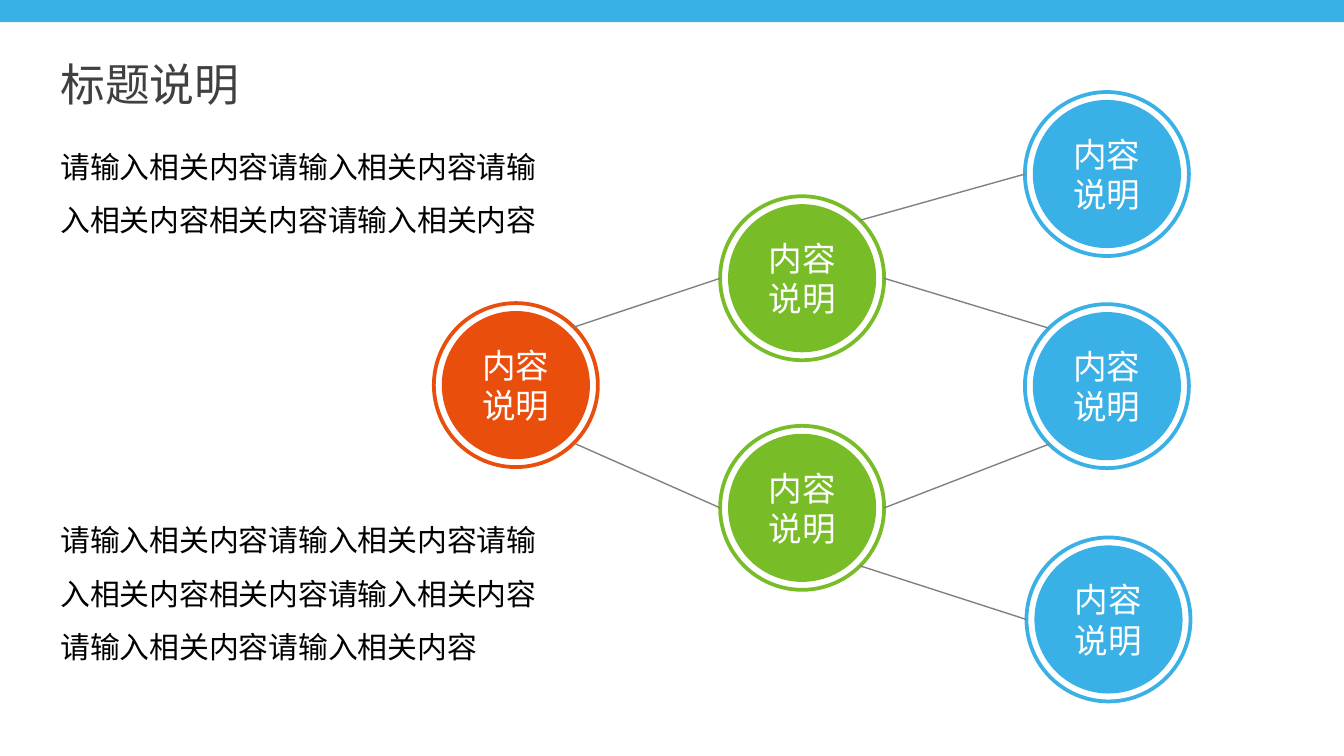
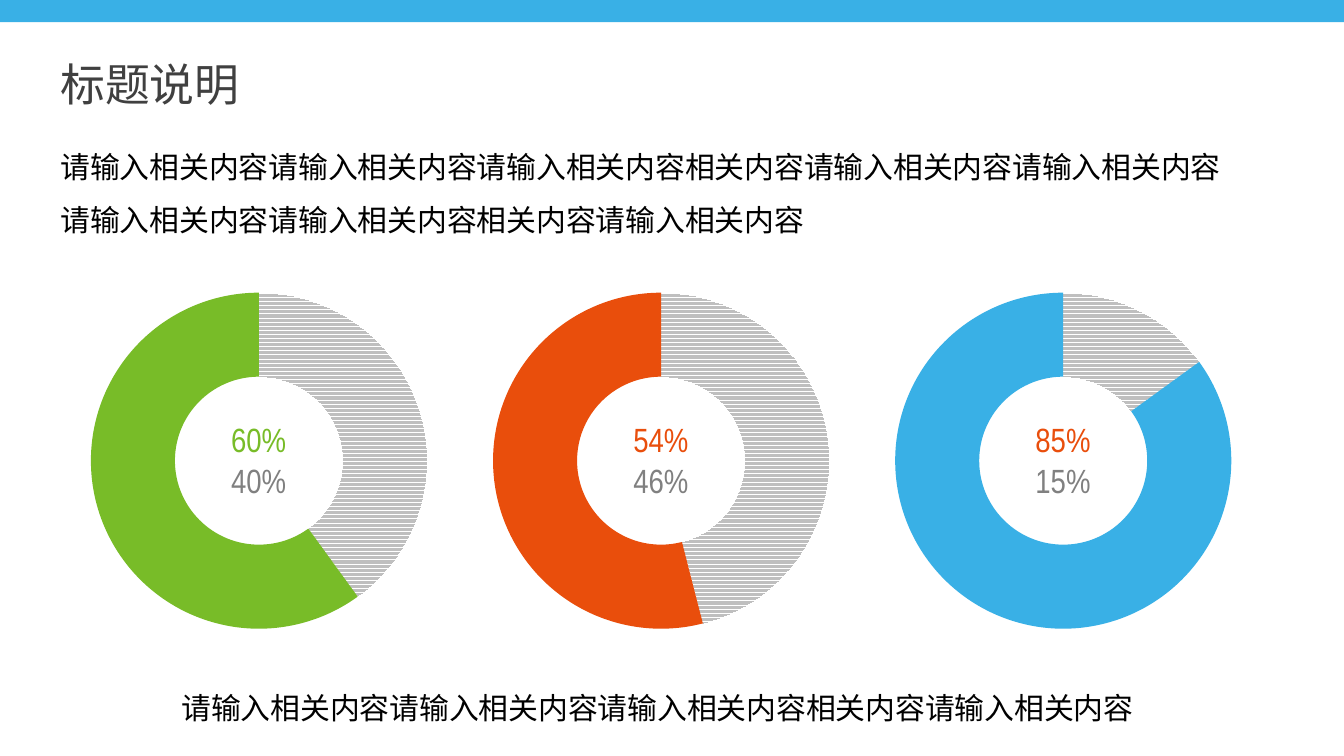
from math import cos, radians, sin
from typing import Any, NamedTuple

from lxml.etree import SubElement
from pptx import Presentation
from pptx.chart.data import CategoryChartData as Data
from pptx.dml.color import RGBColor
from pptx.enum.chart import XL_CHART_TYPE as Kind
from pptx.enum.dml import MSO_PATTERN as Pattern
from pptx.enum.shapes import MSO_CONNECTOR as Wire
from pptx.enum.shapes import MSO_SHAPE as Form
from pptx.enum.text import MSO_ANCHOR as Anchor
from pptx.enum.text import MSO_AUTO_SIZE as Fit
from pptx.enum.text import PP_ALIGN as Align
from pptx.oxml.ns import qn
from pptx.util import Cm, Pt

BLUE, GREEN, RED = "39B0E6", "78BC28", "E94E0C"
WHITE, BLACK, DARK = "FFFFFF", "000000", "404040"
GREY, PALE = "808080", "BFBFBF"
WIDE, HIGH = 25.4, 14.29
LEFT = 0.89
DISC, RING = 2.8, 3.1
ASK, TOPIC = "请输入相关内容", "相关内容"
INTRO = ASK * 3 + TOPIC + ASK


class Node(NamedTuple):
    """A ringed disc by its centre."""
    x: float
    y: float
    tint: str


class Link(NamedTuple):
    """A line between two nodes, with its angle on each ring."""
    start: str
    leave: int
    end: str
    enter: int


class Donut(NamedTuple):
    """A doughnut by its main share."""
    share: int
    tint: str
    label: str


NODES = {
    "root": Node(9.75, 7.28, RED),
    "upper": Node(15.16, 5.26, GREEN),
    "lower": Node(15.16, 9.6, GREEN),
    "top": Node(20.92, 3.29, BLUE),
    "low": Node(20.95, 11.71, BLUE),
    "mid": Node(20.92, 7.3, BLUE),
}
LINKS = [
    Link("root", -45, "upper", 180),
    Link("root", 45, "lower", 180),
    Link("lower", 45, "low", 180),
    Link("upper", -45, "top", 180),
    Link("upper", 0, "mid", -135),
    Link("lower", 0, "mid", 135),
]
DONUTS = [Donut(60, GREEN, GREEN), Donut(54, RED, RED), Donut(85, BLUE, RED)]


def paint(target: Any, tint: str) -> None:
    """Set a colour format from a hex string."""
    target.rgb = RGBColor.from_string(tint)


def write(frame: Any, *lines: str, size: int = 16, font: str = "Calibri",
          tints: tuple = (BLACK,), align: Any = Align.LEFT,
          gap: float = 1.0) -> None:
    """Fill a text frame with one paragraph per line."""
    frame.word_wrap = True
    for i, line in enumerate(lines):
        para = frame.paragraphs[0] if i == 0 else frame.add_paragraph()
        para.alignment, para.line_spacing = align, gap
        run = para.add_run()
        run.text = line
        run.font.size, run.font.name = Pt(size), font
        paint(run.font.color, tints[i % len(tints)])


def label(slide: Any, x: float, y: float, w: float, h: float,
          *lines: str, **style: Any) -> None:
    """Add a text box that grows with its text."""
    box = slide.shapes.add_textbox(Cm(x), Cm(y), Cm(w), Cm(h))
    write(box.text_frame, *lines, **style)
    box.text_frame.auto_size = Fit.SHAPE_TO_FIT_TEXT


def circle(shapes: Any, node: Node, size: float) -> Any:
    """Add a circle centred on a node."""
    item = shapes.add_shape(Form.OVAL, Cm(node.x - size / 2),
                            Cm(node.y - size / 2), Cm(size), Cm(size))
    item.shadow.inherit = False
    return item


def bubble(slide: Any, node: Node) -> None:
    """Draw a filled disc inside a thin ring as one group."""
    shapes = slide.shapes.add_group_shape().shapes
    disc = circle(shapes, node, DISC)
    disc.fill.solid()
    paint(disc.fill.fore_color, node.tint)
    disc.line.fill.background()
    frame = disc.text_frame
    frame.margin_left = frame.margin_right = 0
    frame.vertical_anchor = Anchor.MIDDLE
    write(frame, "内容", "说明", size=18, font="Roboto", tints=(WHITE,),
          align=Align.CENTER)
    ring = circle(shapes, node, RING)
    ring.fill.background()
    paint(ring.line.color, node.tint)
    ring.line.width = Pt(2)


def edge(name: str, angle: int) -> tuple:
    """Return the point of a node's ring at an angle."""
    node, turn = NODES[name], radians(angle)
    return (Cm(node.x + RING / 2 * cos(turn)),
            Cm(node.y + RING / 2 * sin(turn)))


def join(slide: Any, link: Link) -> None:
    """Draw the line of a link."""
    line = slide.shapes.add_connector(Wire.STRAIGHT,
                                      *edge(link.start, link.leave),
                                      *edge(link.end, link.enter))
    paint(line.line.color, GREY)
    line.line.width = Pt(0.75)
    SubElement(line.element.spPr, qn("a:effectLst"))


def place(chart: Any, **parts: float) -> None:
    """Fix the inner plot area as fractions of the chart."""
    area = chart.element.find(".//" + qn("c:plotArea"))
    old = area.find(qn("c:layout"))
    if old is not None:
        area.remove(old)
    outer = SubElement(area, qn("c:layout"))
    area.insert(0, outer)
    inner = SubElement(outer, qn("c:manualLayout"))
    rules = {"layoutTarget": "inner", "xMode": "edge", "yMode": "edge"}
    for tag, val in {**rules, **parts}.items():
        SubElement(inner, qn("c:" + tag)).set("val", str(val))


def ring_chart(slide: Any, item: Donut, x: float) -> None:
    """Add a doughnut chart with a striped rest."""
    data = Data()
    data.categories = ["1", "2"]
    data.add_series("Series 1", [100 - item.share, item.share])
    chart = slide.shapes.add_chart(Kind.DOUGHNUT, Cm(x), Cm(5.18),
                                   Cm(10.59), Cm(7.06), data).chart
    chart.has_title = chart.has_legend = False
    chart.font.size, chart.font.name = Pt(18), "Roboto"
    paint(chart.font.color, BLACK)
    place(chart, x=0.2, y=0.05, w=0.6, h=0.9)
    plot = chart.plots[0]
    plot.vary_by_categories = True
    plot.has_data_labels = False
    rest, main = (plot.series[0].points[i].format for i in range(2))
    rest.fill.patterned()
    rest.fill.pattern = Pattern.DARK_HORIZONTAL
    paint(rest.fill.fore_color, PALE)
    paint(rest.fill.back_color, WHITE)
    main.fill.solid()
    paint(main.fill.fore_color, item.tint)
    for part in (rest, main):
        part.line.fill.background()


def band(deck: Any, slide: Any) -> None:
    """Put the top band on the slide master."""
    bar = slide.shapes.add_shape(Form.RECTANGLE, 0, 0, Cm(WIDE), Cm(0.42))
    bar.shadow.inherit = False
    bar.fill.solid()
    paint(bar.fill.fore_color, BLUE)
    bar.line.fill.background()
    bar.element.xpath(".//p:cNvPr")[0].set("id", "20")
    deck.slide_master.shapes.element.append(bar.element)


def head(slide: Any, width: float, text: str) -> None:
    """Add the title and the lead text."""
    label(slide, LEFT, 0.94, 6.2, 1.27, "标题说明", size=24,
          font="Noto Sans CJK SC", tints=(DARK,))
    label(slide, LEFT, 2.34, width, 2.31, text, gap=1.5)


def tree(slide: Any) -> None:
    """Build the slide of linked discs."""
    for node in NODES.values():
        bubble(slide, node)
    for link in LINKS:
        join(slide, link)
    head(slide, 9.6, INTRO)
    label(slide, LEFT, 9.4, 9.6, 3.33, INTRO + ASK * 2, gap=1.5)


def shares(slide: Any) -> None:
    """Build the slide of doughnut charts."""
    step = 7.6
    for i, item in enumerate(DONUTS):
        ring_chart(slide, item, -0.4 + i * step)
    for i, item in enumerate(DONUTS):
        label(slide, 3.89 + i * step, 7.8, 2, 1.8, f"{item.share}%",
              f"{100 - item.share}%", size=18, font="Arial Narrow",
              tints=(item.label, GREY), align=Align.CENTER)
    label(slide, 0.84, 12.57, 23.19, 1.27, INTRO, align=Align.CENTER,
          gap=1.5)
    head(slide, 22.81, INTRO * 2)


def main() -> None:
    """Build and save the deck."""
    deck = Presentation()
    deck.slide_width, deck.slide_height = Cm(WIDE), Cm(HIGH)
    first, second = (deck.slides.add_slide(deck.slide_layouts[6])
                     for _ in range(2))
    band(deck, first)
    tree(first)
    shares(second)
    deck.save("out.pptx")


if __name__ == "__main__":
    main()
